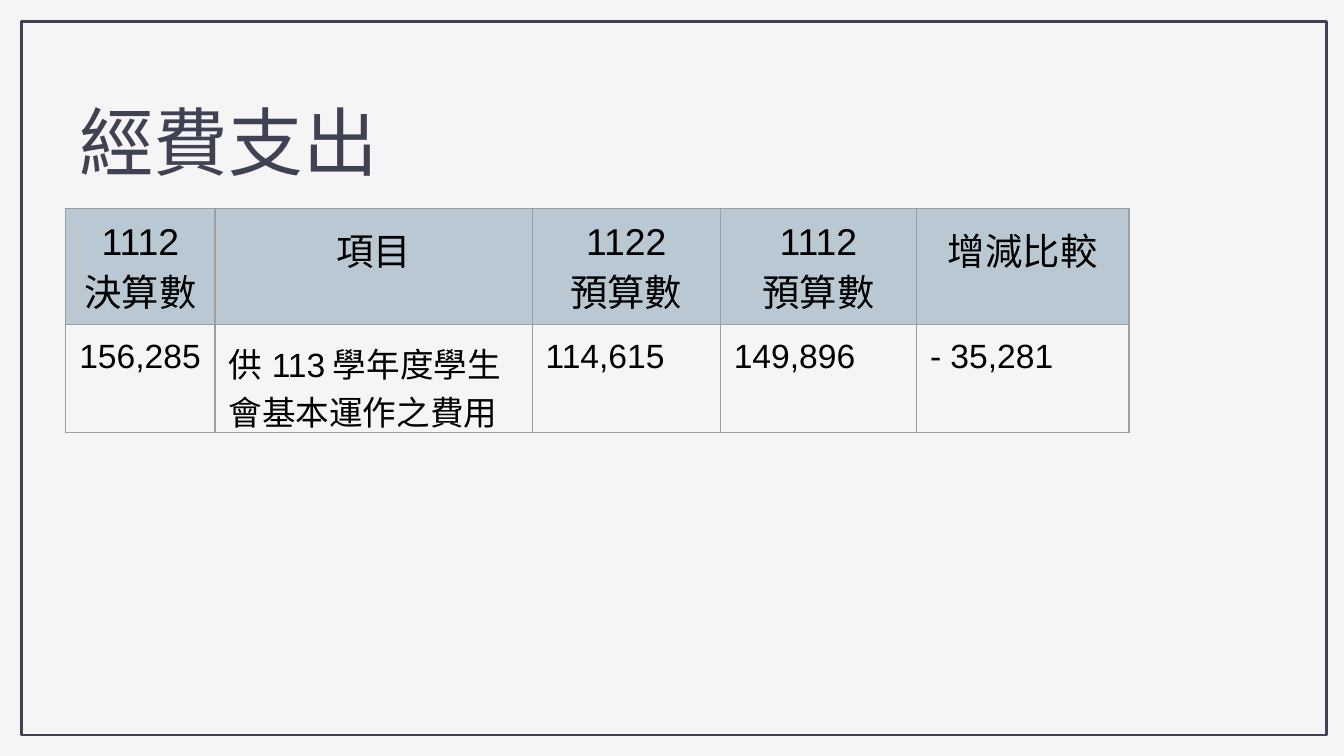
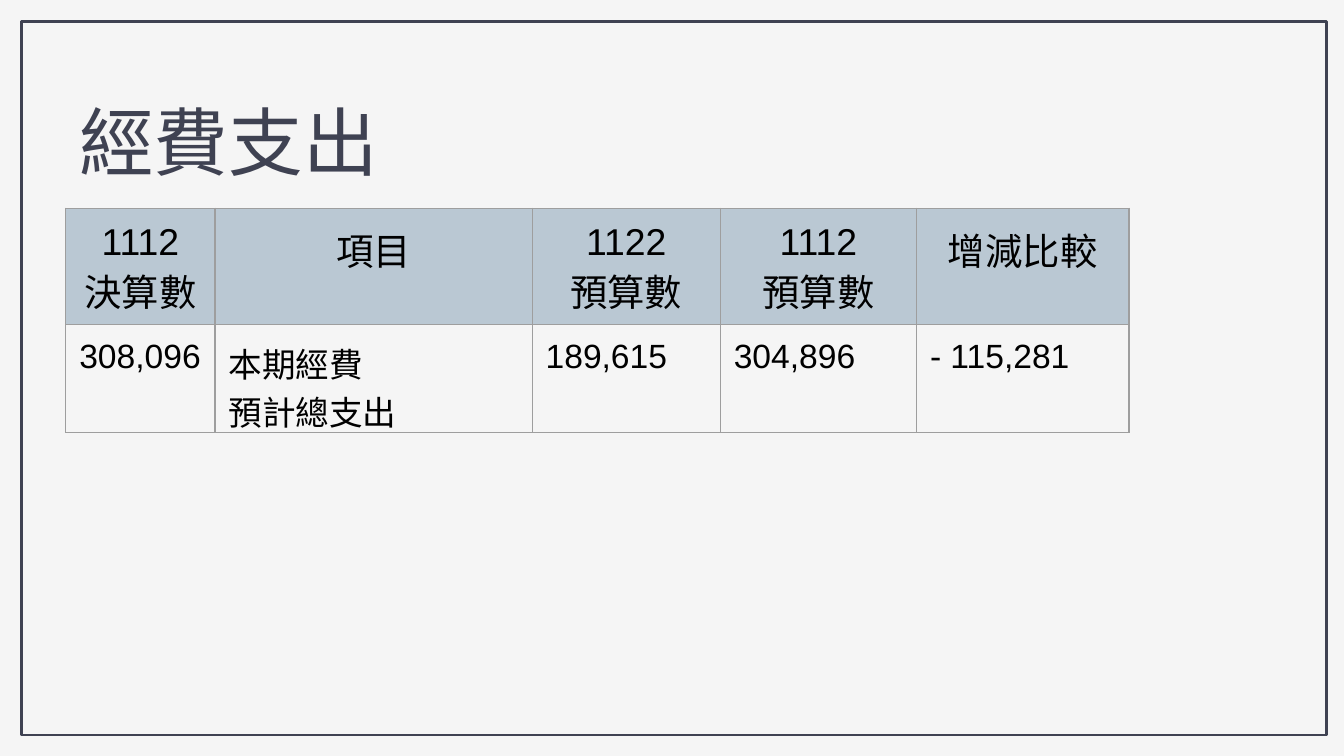
from dataclasses import dataclass

from lxml.etree import SubElement
from pptx import Presentation
from pptx.dml.color import RGBColor
from pptx.enum.shapes import MSO_SHAPE as Preset
from pptx.enum.text import MSO_ANCHOR as Anchor, MSO_AUTO_SIZE as AutoSize, PP_ALIGN as Align
from pptx.oxml.ns import qn
from pptx.util import Inches, Pt

COLORS = {
    "page": "F5F5F5",
    "ink": "3F4252",
    "header": "BAC8D3",
    "border": "9E9E9E",
    "text": "000000",
}
FONT = "Arial"
PAGE_WIDTH = 10
PAGE_HEIGHT = PAGE_WIDTH * 9 / 16
TITLE = "經費支出"
HEADINGS = ("1112\n決算數", "項目", "1122\n預算數", "1112\n預算數", "增減比較")
COLUMN_WIDTHS = (1.11, 2.36, 1.4, 1.46, 1.58)
ROW_HEIGHT = 0.42
LEFT = 0.49
INSETS = {f"margin_{side}": Inches(0.1) for side in ("left", "top", "right", "bottom")}


@dataclass
class Expense:
    settled: str
    item: str
    budget: str
    previous_budget: str
    change: str

    def cells(self) -> tuple:
        return (self.settled, self.item, self.budget, self.previous_budget, self.change)


EXPENSES = (
    Expense("156,285", "供113學年度學生會基本運作之費用", "114,615", "149,896", "- 35,281"),
    Expense("308,096", "本期經費\n預計總支出", "189,615", "304,896", "- 115,281"),
)


def color(name: str) -> RGBColor:
    return RGBColor.from_string(COLORS[name])


def apply(target, values: dict) -> None:
    for name, value in values.items():
        setattr(target, name, value)


def format_text(text_frame, size: float, ink: str, alignment) -> None:
    for para in text_frame.paragraphs:
        para.alignment = alignment
        for span in para.runs:
            apply(span.font, {"name": FONT, "size": Pt(size), "bold": False})
            span.font.color.rgb = color(ink)


def add_border(cell) -> None:
    properties = cell._tc.get_or_add_tcPr()
    for position, side in enumerate(("lnL", "lnR", "lnT", "lnB")):
        line = SubElement(properties, qn(f"a:{side}"), w=str(Pt(0.75)))
        fill = SubElement(line, qn("a:solidFill"))
        SubElement(fill, qn("a:srgbClr"), val=COLORS["border"])
        properties.insert(position, line)  # borders come before the cell fill


def style_layout(layout, page) -> None:
    """Give the layout its background and the frame around each page."""
    layout.background.fill.solid()
    layout.background.fill.fore_color.rgb = color("page")
    frame = page.shapes.add_shape(
        Preset.RECTANGLE, Inches(0.16), Inches(0.16), Inches(9.71), Inches(5.31))
    frame.shadow.inherit = False
    frame.fill.background()
    frame.line.color.rgb = color("ink")
    frame.line.width = Pt(1.5)
    layout.shapes.element.append(frame.element)


def set_title(page) -> None:
    title = page.shapes.title
    apply(title, {"left": Inches(LEFT), "top": Inches(0.61),
                  "width": Inches(3.18), "height": Inches(0.88)})
    box = title.text_frame
    box.text = TITLE
    apply(box, INSETS | {"word_wrap": True, "vertical_anchor": Anchor.MIDDLE,
                         "auto_size": AutoSize.SHAPE_TO_FIT_TEXT})
    format_text(box, 40, "ink", Align.LEFT)


def add_expense_table(page, expense: Expense) -> None:
    rows = (HEADINGS, expense.cells())
    table = page.shapes.add_table(
        len(rows), len(HEADINGS), Inches(LEFT), Inches(1.55),
        Inches(sum(COLUMN_WIDTHS)), Inches(ROW_HEIGHT * len(rows))).table
    apply(table, {"first_row": False, "horz_banding": False})
    for column, width in zip(table.columns, COLUMN_WIDTHS):
        column.width = Inches(width)
    for row_index, row in enumerate(rows):
        is_header = row_index == 0
        for column_index, text in enumerate(row):
            cell = table.cell(row_index, column_index)
            cell.text = text
            apply(cell, INSETS | {"vertical_anchor": Anchor.TOP})
            if is_header:
                cell.fill.solid()
                cell.fill.fore_color.rgb = color("header")
            else:
                cell.fill.background()
            add_border(cell)
            format_text(cell.text_frame, 20 if is_header else 18, "text",
                        Align.CENTER if is_header else Align.LEFT)


def main() -> None:
    deck = Presentation()
    apply(deck, {"slide_width": Inches(PAGE_WIDTH), "slide_height": Inches(PAGE_HEIGHT)})
    layout = deck.slide_layouts.get_by_name("Title Only")
    pages = [deck.slides.add_slide(layout) for _ in EXPENSES]
    style_layout(layout, pages[0])
    for page, expense in zip(pages, EXPENSES):
        set_title(page)
        add_expense_table(page, expense)
    deck.save("out.pptx")


if __name__ == "__main__":
    main()
